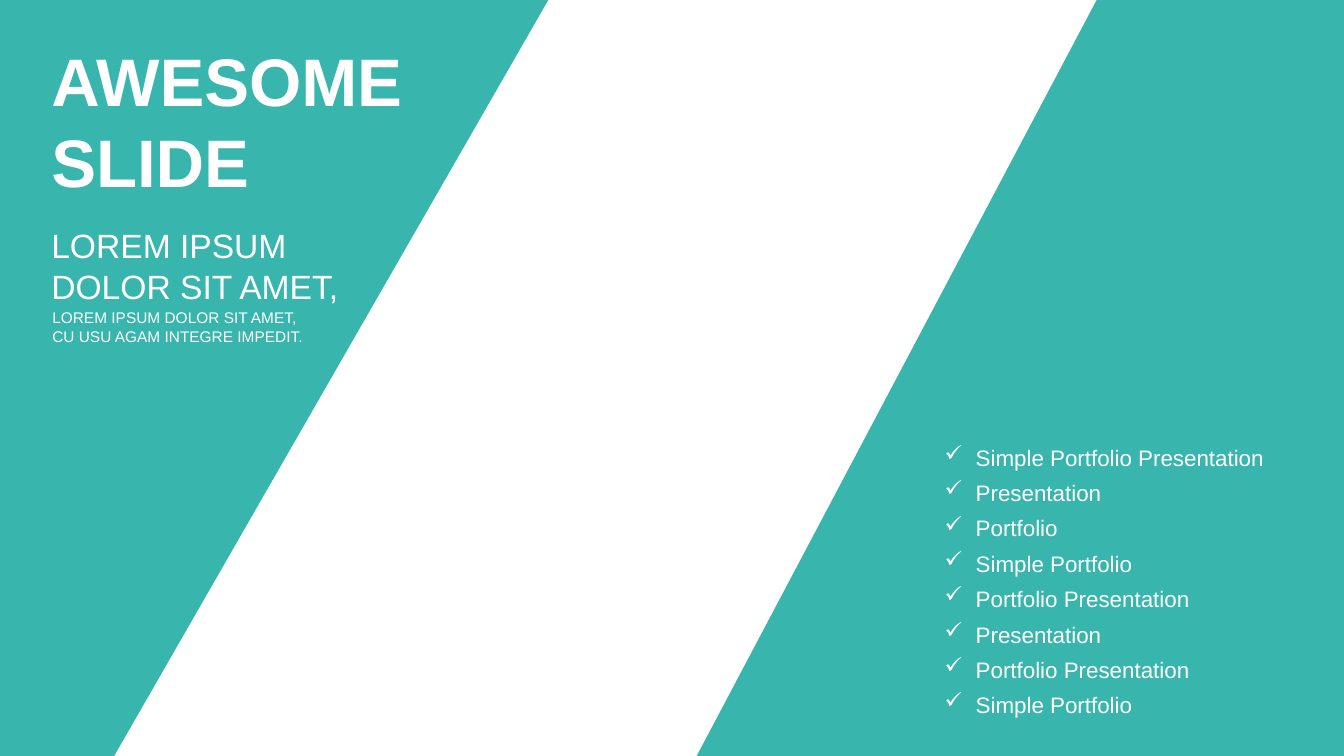
from lxml.etree import SubElement
from pptx import Presentation
from pptx.dml.color import RGBColor
from pptx.enum.text import MSO_ANCHOR, MSO_AUTO_SIZE
from pptx.oxml.ns import qn
from pptx.util import Inches, Pt

COLORS = {"teal": "07A398", "white": "FFFFFF"}


class SlideBuilder:
    """Draws styled elements on one slide, placed in percent of its size."""

    font = "Arial"

    def __init__(self, deck):
        self.width, self.height = deck.slide_width, deck.slide_height
        self.slide = deck.slides.add_slide(deck.slide_layouts[6])

    def at(self, x, y):
        return round(self.width * x / 100), round(self.height * y / 100)

    def panel(self, corners, opacity=80):
        start, *rest = [self.at(*corner) for corner in corners]
        outline = self.slide.shapes.build_freeform(*start)
        outline.add_line_segments(rest, close=True)
        panel = outline.convert_to_shape()
        panel.shadow.inherit = False
        panel.line.fill.background()
        panel.fill.solid()
        panel.fill.fore_color.rgb = RGBColor.from_string(COLORS["teal"])
        color = panel.fill._xPr.find(qn("a:solidFill"))[0]
        SubElement(color, qn("a:alpha"), val=str(opacity * 1000))

    def text(self, lines, x, y, width, height, size, bold=False, bullet=None, parent=None):
        box = (parent or self.slide).shapes.add_textbox(*self.at(x, y), *self.at(width, height))
        frame = box.text_frame
        frame.text = "\n".join(lines)
        frame.word_wrap = True
        frame.auto_size = MSO_AUTO_SIZE.SHAPE_TO_FIT_TEXT
        frame.vertical_anchor = MSO_ANCHOR.MIDDLE
        for paragraph in frame.paragraphs:
            if bullet:
                self.bullet(paragraph, bullet)
            for run in paragraph.runs:
                run.font.name = self.font
                run.font.size = Pt(size)
                run.font.bold = bold
                run.font.color.rgb = RGBColor.from_string(COLORS["white"])

    def bullet(self, paragraph, mark):
        indent = Inches(0.31)
        properties = paragraph._p.get_or_add_pPr()
        properties.set("marL", str(indent))
        properties.set("indent", str(-indent))
        SubElement(properties, qn("a:buChar"), char=mark)
        paragraph.line_spacing = 0.8

    def checklist(self, items, x, y, width, height, pitch, size):
        group = self.slide.shapes.add_group_shape()
        for row, item in enumerate(items):
            self.text([item], x, y + row * pitch, width, height, size, bullet="✓", parent=group)


def main():
    deck = Presentation()
    deck.slide_width, deck.slide_height = Inches(13.33), Inches(7.5)
    cover = SlideBuilder(deck)

    cover.panel([(0, 0), (40.8, 0), (8.5, 100), (0, 100)])
    cover.panel([(100, 100), (51.84, 100), (81.6, 0), (100, 0)])

    cover.text(["AWESOME", "SLIDE"], 3.08, 4.4, 29.26, 22.93, 48, bold=True)
    cover.text(["LOREM IPSUM DOLOR SIT AMET,", "CU USU AGAM INTEGRE IMPEDIT."],
               3.15, 40.13, 29.26, 6.27, 11)
    cover.text(["LOREM IPSUM", "DOLOR SIT AMET,"], 3.08, 29.07, 29.26, 12.13, 24)

    topics = ["Simple Portfolio Presentation", "Presentation", "Portfolio",
              "Simple Portfolio", "Portfolio Presentation", "Presentation",
              "Portfolio Presentation", "Simple Portfolio"]
    cover.checklist(topics, 69.54, 58.67, 26.93, 4.27, pitch=4.68, size=16)

    deck.save("out.pptx")


if __name__ == "__main__":
    main()
